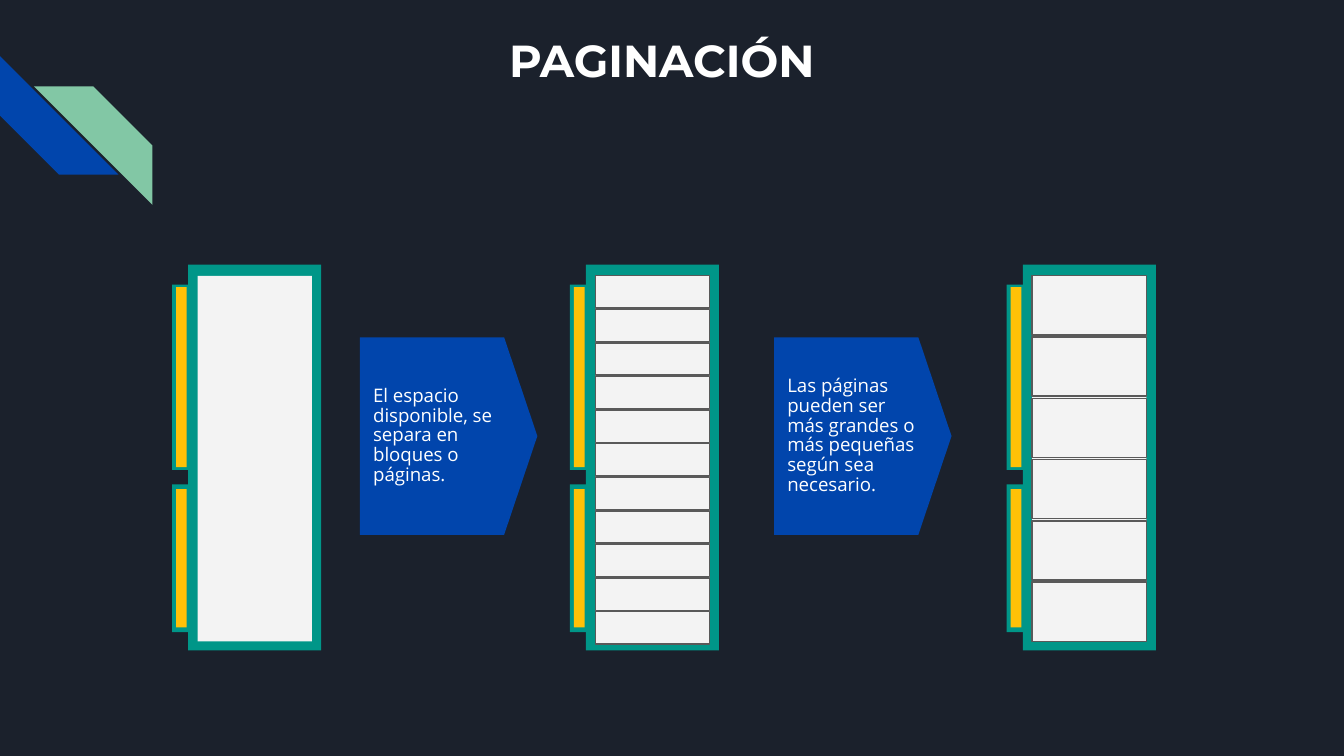
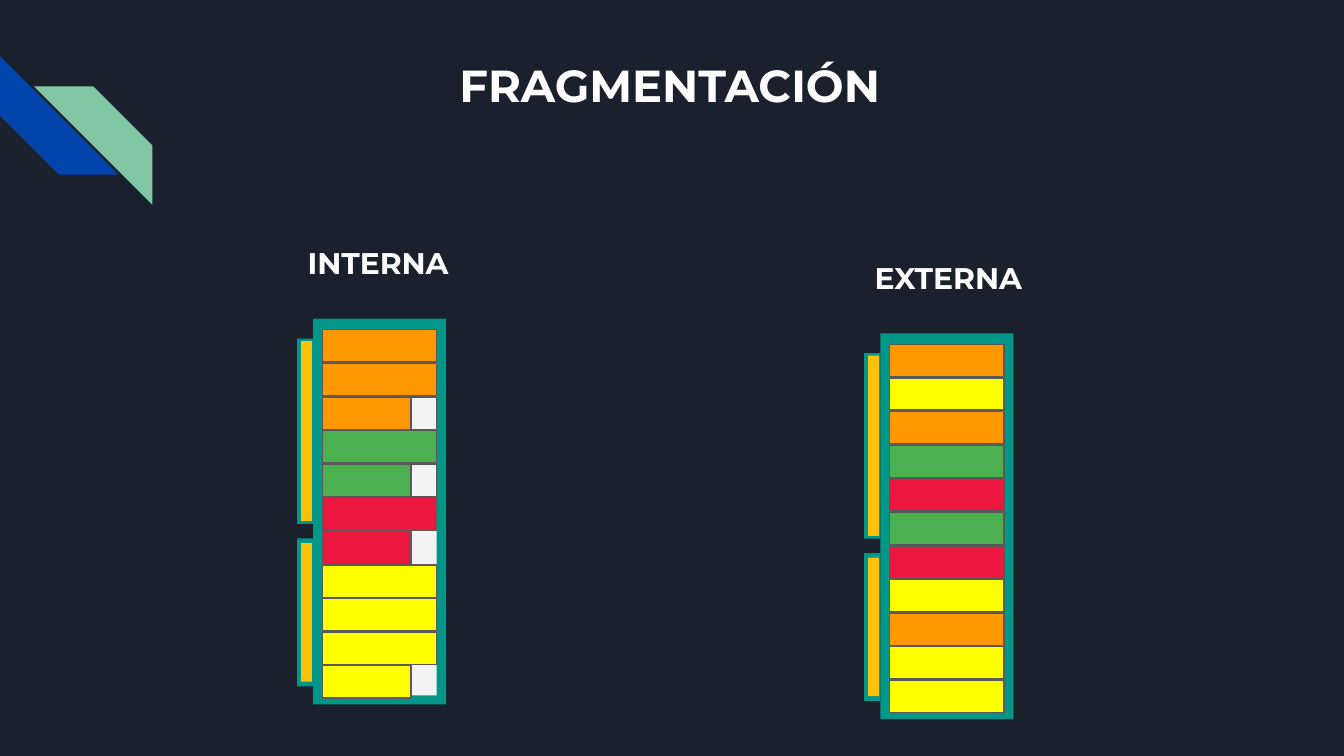
from pptx import Presentation
from pptx import util as u
from pptx.dml import color
from pptx.enum import shapes, text

BACKGROUND, WHITE, BLUE, MINT = "1B212C", "FFFFFF", "0145AC", "82C7A5"
TEAL, AMBER, FREE, OUTLINE = "009688", "FFC107", "F3F3F3", "595959"
ORANGE, GREEN, RED, YELLOW = "FF9800", "4CAF50", "EC183F", "FFFF00"

FRAME_WIDTH, FRAME_HEIGHT = 71.28, 206.64
INNER_X, INNER_Y, INNER_WIDTH, INNER_HEIGHT = 5.04, 5.9, 61.2, 195.84
PARTIAL_WIDTH = 47.52
BLOCK_PITCH, BLOCK_HEIGHT = 18, 17.28
PAGE_PITCH, PAGE_HEIGHT = 32.83, 31.68


def rgb(value):
    """Turn a hex string into a colour."""
    return color.RGBColor.from_string(value)


class Builder:
    """Hold the deck style and the current page."""

    def __init__(self):
        """Open a deck of 16:9 pages."""
        self.deck = Presentation()
        self.deck.slide_width, self.deck.slide_height = u.Pt(720), u.Pt(405)
        self.page = None

    def start_page(self, title, left, top, width, height):
        """Add a page with its background, corner stripes and title."""
        self.page = self.deck.slides.add_slide(self.deck.slide_layouts[6])
        fill = self.page.background.fill
        fill.solid()
        fill.fore_color.rgb = rgb(BACKGROUND)
        stripe = shapes.MSO_SHAPE.DIAGONAL_STRIPE
        blue = self.shape(0, 30.1, 63.5, 63.5, BLUE, kind=stripe, adjust=0.5)
        blue.rotation = 270
        mint = self.shape(18.2, 46.3, 63.5, 63.5, MINT, kind=stripe, adjust=0.5)
        mint.element.spPr.xfrm.set("flipH", "1")
        self.heading(title, left, top, width, height, 24)

    def shape(self, left, top, width, height, fill, line=None,
              kind=shapes.MSO_SHAPE.RECTANGLE, adjust=None):
        """Add a filled preset shape, outlined on request."""
        shape = self.page.shapes.add_shape(
            kind, u.Pt(left), u.Pt(top), u.Pt(width), u.Pt(height))
        shape.shadow.inherit = False
        shape.fill.solid()
        shape.fill.fore_color.rgb = rgb(fill)
        if line:
            shape.line.color.rgb = rgb(line)
            shape.line.width = u.Pt(0.75)
        else:
            shape.line.fill.background()
        if adjust is not None:
            shape.adjustments[0] = adjust
        return shape

    def add_words(self, box, words, font, size, anchor, bold=False, spacing=None):
        """Set one left-aligned paragraph in a box."""
        frame = box.text_frame
        frame.word_wrap = True
        frame.vertical_anchor = anchor
        frame.margin_left = frame.margin_right = u.Pt(7.2)
        frame.margin_top = frame.margin_bottom = u.Pt(7.2)
        para = frame.paragraphs[0]
        para.alignment = text.PP_ALIGN.LEFT
        if spacing:
            para.line_spacing = spacing
        span = para.add_run()
        span.text = words
        span.font.name, span.font.size, span.font.bold = font, u.Pt(size), bold
        span.font.color.rgb = rgb(WHITE)

    def heading(self, words, left, top, width, height, size):
        """Add a bold heading that sits on the bottom of its box."""
        box = self.page.shapes.add_textbox(
            u.Pt(left), u.Pt(top), u.Pt(width), u.Pt(height))
        self.add_words(box, words, "Montserrat", size, text.MSO_ANCHOR.BOTTOM, True)

    def step(self, words, left):
        """Add a blue pentagon that explains the next step."""
        arrow = self.shape(left, 180.72, 95.04, 105.84, BLUE,
                           kind=shapes.MSO_SHAPE.PENTAGON, adjust=0.187)
        self.add_words(arrow, words, "Open Sans", 10, text.MSO_ANCHOR.MIDDLE,
                       spacing=0.88)

    def memory(self, left, top):
        """Add an empty memory module with its two contacts."""
        self.shape(left, top, FRAME_WIDTH, FRAME_HEIGHT, TEAL)
        for offset, height in ((10.6, 99.36), (117.7, 79.2)):
            self.shape(left - 8.64, top + offset, 8.64, height, TEAL)
        for offset, height in ((12, 96.48), (120.2, 74.16)):
            self.shape(left - 6.48, top + offset, 5.76, height, AMBER)
        self.shape(left + INNER_X, top + INNER_Y, INNER_WIDTH, INNER_HEIGHT, FREE)

    def block(self, left, top, row, fill, width=INNER_WIDTH,
              pitch=BLOCK_PITCH, height=BLOCK_HEIGHT):
        """Add one outlined block in a row of a memory module."""
        self.shape(left + INNER_X, top + INNER_Y + row * pitch, width, height,
                   fill, OUTLINE)


def paging(builder):
    """Build the page on paging."""
    builder.start_page("PAGINACIÓN", 265.68, 21.6, 189.36, 31.68)
    top = 141.84
    whole, small, large = 100.8, 313.92, 547.92
    for left in (whole, small, large):
        builder.memory(left, top)
    for row in range(11):
        builder.block(small, top, row, FREE)
    for row in range(6):
        builder.block(large, top, row, FREE, pitch=PAGE_PITCH, height=PAGE_HEIGHT)
    builder.step("El espacio disponible, se separa en bloques o páginas.", 192.8)
    builder.step("Las páginas pueden ser más grandes o más pequeñas "
                 "según sea necesario.", 414.72)


def fragmentation(builder):
    """Build the page on internal and external fragmentation."""
    builder.start_page("FRAGMENTACIÓN", 239.04, 17.28, 241.92, 49.68)

    left, top = 167.76, 170.8
    builder.memory(left, top)
    for row in (2, 4):
        builder.block(left, top, row, FREE)
    row = 0
    for fill, count in ((ORANGE, 3), (GREEN, 2), (RED, 2), (YELLOW, 4)):
        for _ in range(count - 1):
            builder.block(left, top, row, fill)
            row += 1
        builder.block(left, top, row, fill, PARTIAL_WIDTH)
        row += 1
    builder.heading("INTERNA", 157.68, 120.96, 92.16, 36.72, 16)

    left, top = 471.6, 178.6
    builder.memory(left, top)
    fills = (ORANGE, YELLOW, ORANGE, GREEN, RED, GREEN, RED, YELLOW, ORANGE,
             YELLOW, YELLOW)
    for row, fill in enumerate(fills):
        builder.block(left, top, row, fill)
    builder.heading("EXTERNA", 461.52, 128.88, 98.64, 36.72, 16)


def main():
    """Build both pages and save the deck."""
    builder = Builder()
    paging(builder)
    fragmentation(builder)
    builder.deck.save("out.pptx")


if __name__ == "__main__":
    main()
